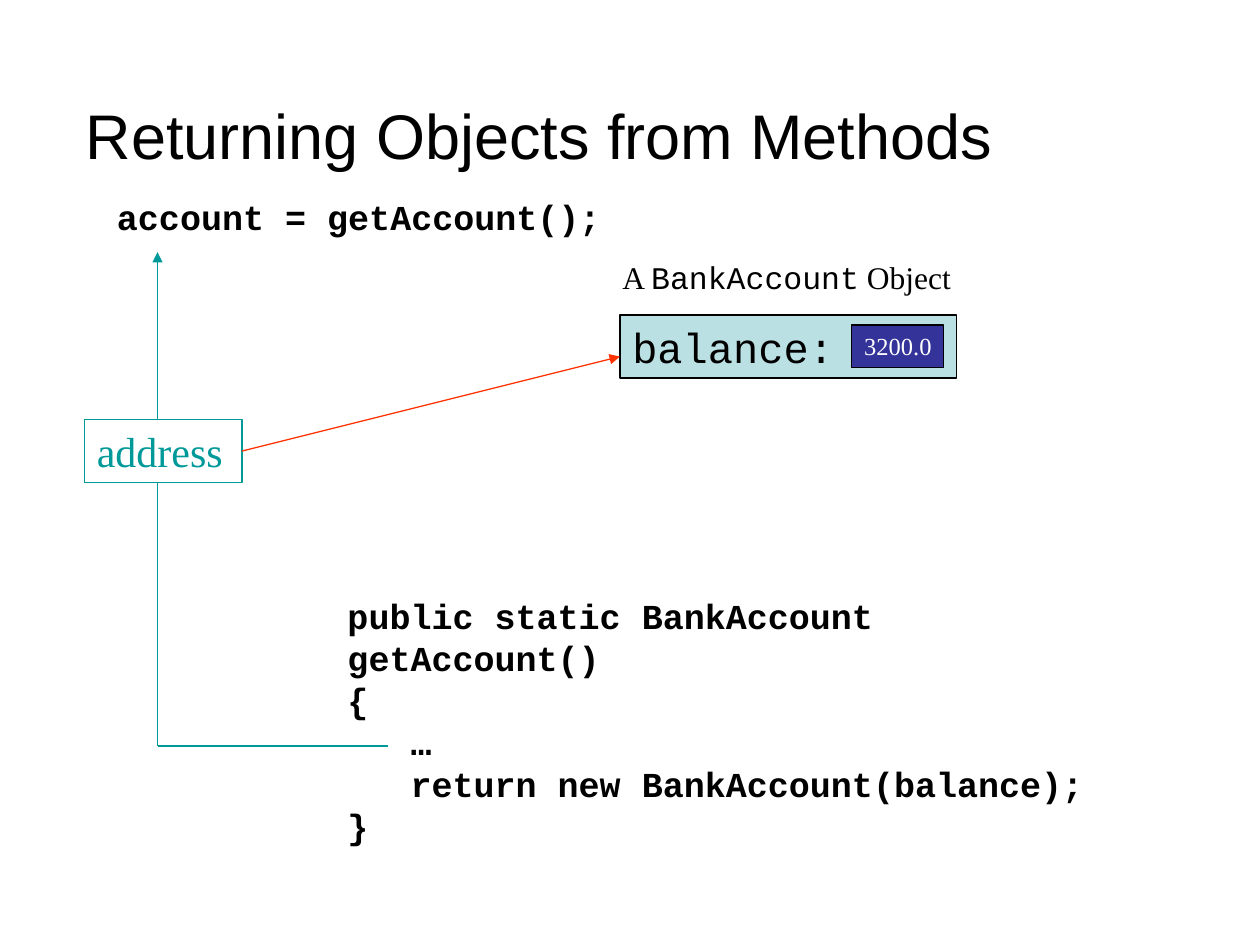
from dataclasses import dataclass

from lxml import etree
from pptx import Presentation
from pptx.dml.color import RGBColor
from pptx.enum.shapes import MSO_CONNECTOR, MSO_SHAPE
from pptx.enum.text import MSO_ANCHOR, PP_ALIGN
from pptx.oxml.ns import qn
from pptx.util import Inches, Pt

RECT = MSO_SHAPE.RECTANGLE
STRAIGHT = MSO_CONNECTOR.STRAIGHT
TOP, BOTTOM = MSO_ANCHOR.TOP, MSO_ANCHOR.BOTTOM
LEFT = PP_ALIGN.LEFT
RIGHT_SIDE = 3

SANS, SERIF, MONO = "Arial", "Times New Roman", "Courier New"
COLORS = {
    "black": "000000",
    "white": "FFFFFF",
    "teal": "009999",
    "red": "FF3300",
    "pale": "BBE0E3",
    "navy": "333399",
}
CODE = """public static BankAccount getAccount()
{
   …
   return new BankAccount(balance);
}"""


@dataclass
class Label:
    text: str
    box: tuple
    size: int
    font: str
    color: str = "black"
    bold: bool = False
    wrap: bool = True


@dataclass
class Panel(Label):
    fill: str | None = None
    edge: str = "black"


@dataclass
class Link:
    start: tuple
    end: tuple
    color: str = "teal"
    arrow: bool = False


def rgb(name: str) -> RGBColor:
    return RGBColor.from_string(COLORS[name])


def style(font, face: str, size: int, color: str, bold: bool = False) -> None:
    font.name, font.size, font.bold = face, Pt(size), bold
    font.color.rgb = rgb(color)


def write(shape, label: Label) -> None:
    frame = shape.text_frame
    frame.text = label.text
    frame.word_wrap = label.wrap
    frame.vertical_anchor = TOP
    for para in frame.paragraphs:
        para.alignment = LEFT
        for run in para.runs:
            style(run.font, label.font, label.size, label.color, label.bold)


def draw_label(slide, label: Label):
    shape = slide.shapes.add_textbox(*map(Inches, label.box))
    write(shape, label)
    return shape


def draw_panel(slide, panel: Panel):
    shape = slide.shapes.add_shape(RECT, *map(Inches, panel.box))
    shape.shadow.inherit = False
    if panel.fill:
        shape.fill.solid()
        shape.fill.fore_color.rgb = rgb(panel.fill)
    else:
        shape.fill.background()
    shape.line.color.rgb = rgb(panel.edge)
    shape.line.width = Pt(0.75)
    write(shape, panel)
    return shape


def draw_link(slide, link: Link):
    line = slide.shapes.add_connector(
        STRAIGHT, *map(Inches, link.start + link.end))
    line.line.color.rgb = rgb(link.color)
    line.line.width = Pt(0.75)
    props = line._element.spPr
    if link.arrow:
        etree.SubElement(props.find(qn("a:ln")), qn("a:tailEnd"), type="triangle")
    etree.SubElement(props, qn("a:effectLst"))
    return line


def main() -> None:
    deck = Presentation()
    deck.slide_width, deck.slide_height = Inches(10), Inches(7.5)
    slide = deck.slides.add_slide(deck.slide_layouts[5])

    # Title
    title = slide.shapes.title
    title.left, title.top = Inches(0.58), Inches(0.33)
    title.width, title.height = Inches(9.42), Inches(1.09)
    title.text_frame.text = "Returning Objects from Methods"
    title.text_frame.vertical_anchor = BOTTOM
    para = title.text_frame.paragraphs[0]
    para.alignment = LEFT
    style(para.runs[0].font, SANS, 36, "black")

    # Call and method code
    draw_label(slide, Label("account = getAccount();", (0.83, 1.5, 4.25, 0.44),
                            20, MONO, bold=True))
    draw_label(slide, Label(CODE, (2.66, 4.67, 6.54, 1.77),
                            20, MONO, bold=True, wrap=False))

    # Account object and its address
    draw_panel(slide, Panel("balance:", (4.92, 2.5, 2.67, 0.5),
                            24, MONO, fill="pale"))
    draw_panel(slide, Panel("3200.0", (6.76, 2.58, 0.73, 0.34), 14, SERIF,
                            "white", wrap=False, fill="navy"))
    address = draw_panel(slide, Panel("address", (0.67, 3.33, 1.25, 0.5),
                                      24, SERIF, "teal", edge="teal"))

    # Path of the returned address
    for link in (
        Link((1.25, 3.33), (1.25, 2), arrow=True),
        Link((3.08, 5.92), (1.25, 5.92)),
        Link((1.25, 5.92), (1.25, 3.83)),
    ):
        draw_link(slide, link)
    pointer = draw_link(slide, Link((1.92, 3.58), (4.92, 2.83), "red", True))
    pointer.begin_connect(address, RIGHT_SIDE)

    # Object caption
    caption = draw_label(slide, Label("A ", (4.84, 2, 2.82, 0.4),
                                      18, SERIF, wrap=False))
    para = caption.text_frame.paragraphs[0]
    for text, face in (("BankAccount", MONO), (" Object", SERIF)):
        run = para.add_run()
        run.text = text
        style(run.font, face, 18, "black")

    deck.save("out.pptx")


if __name__ == "__main__":
    main()
